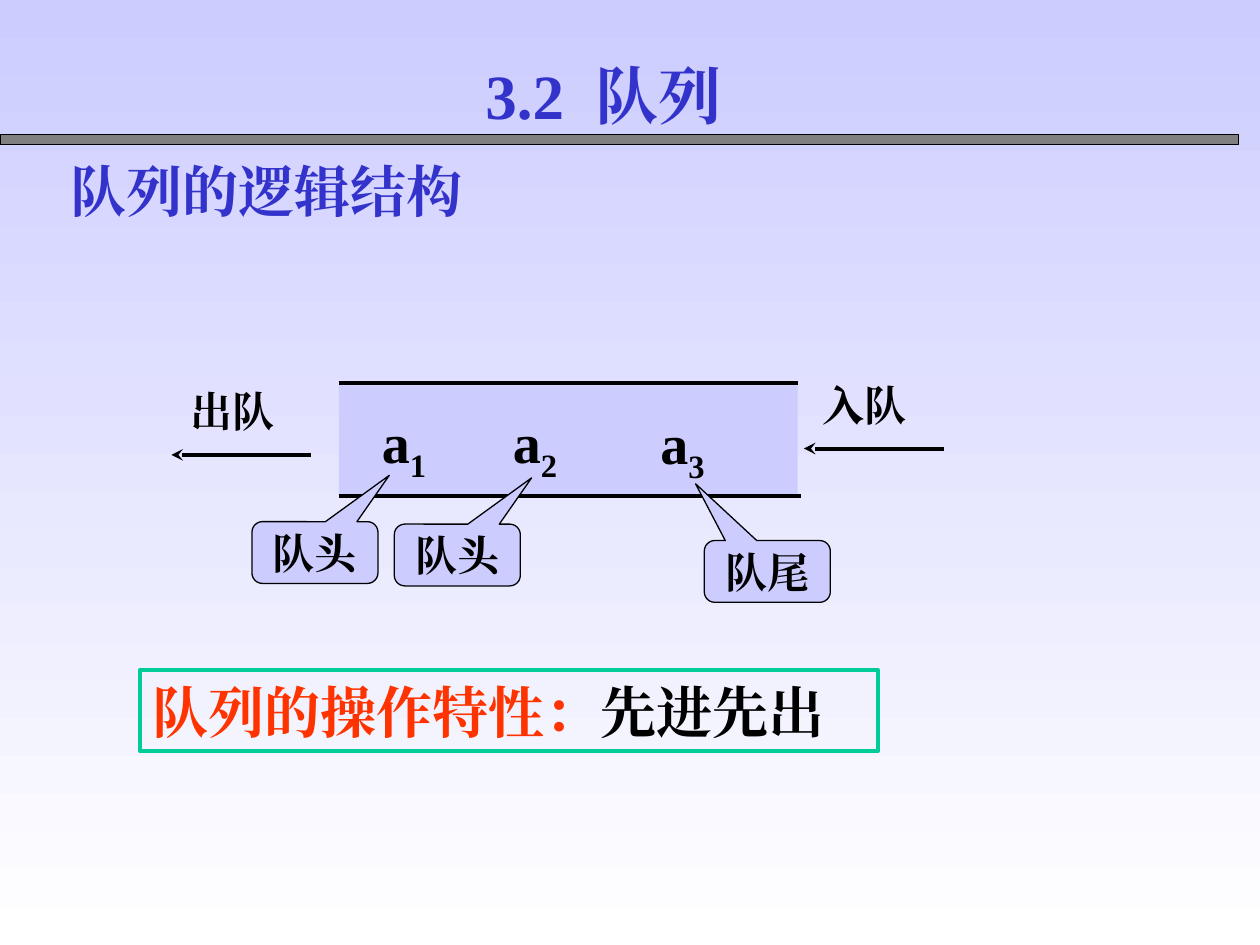
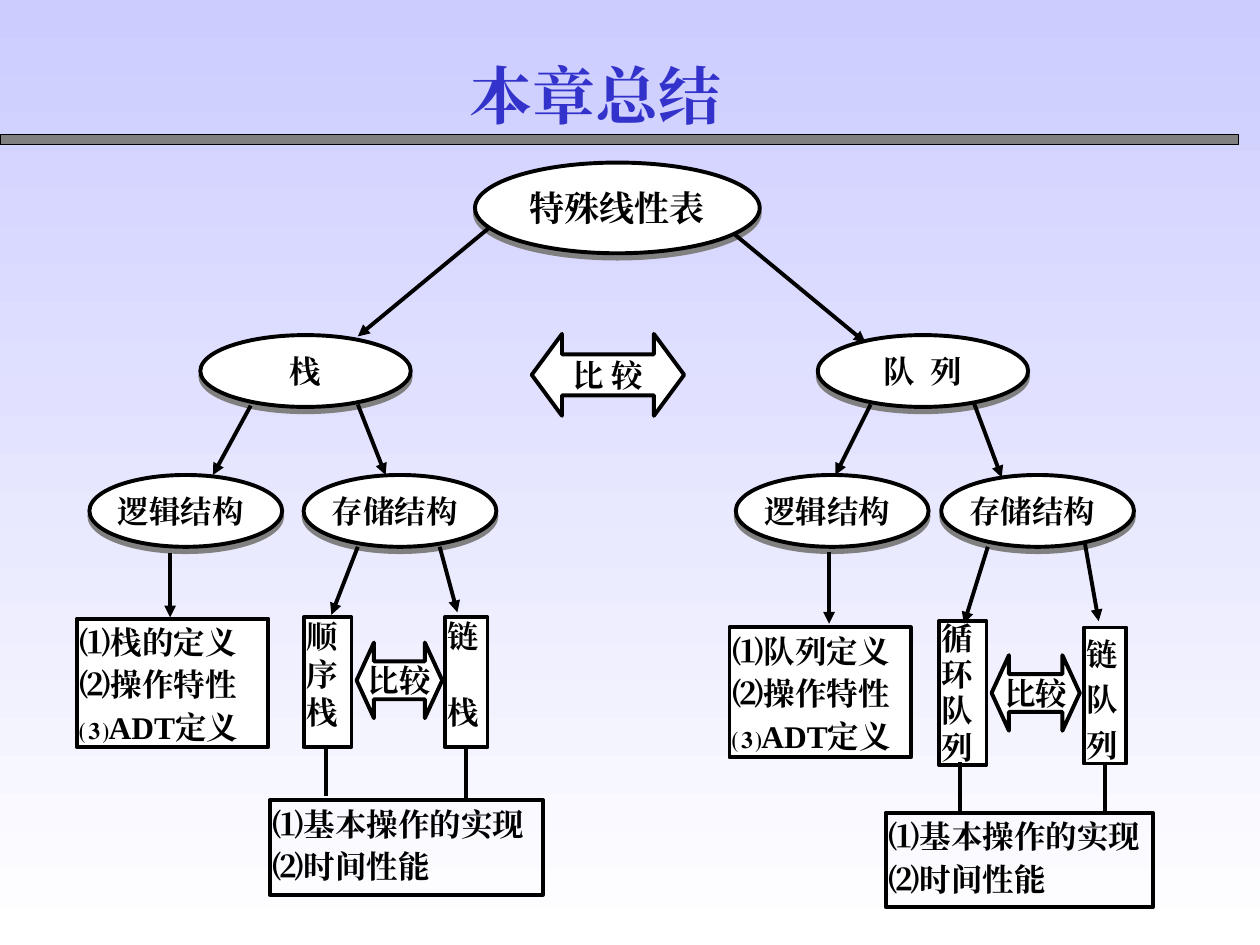
from lxml.etree import SubElement
from pptx import Presentation
from pptx.dml.color import RGBColor
from pptx.enum.shapes import MSO_CONNECTOR, MSO_SHAPE
from pptx.enum.text import MSO_ANCHOR, PP_ALIGN
from pptx.oxml import parse_xml
from pptx.oxml.ns import nsdecls, qn
from pptx.util import Emu, Inches, Pt

WIDTH, HEIGHT = Inches(10), Inches(7.5)
COLUMNS, ROWS = 100, 75
FONT = "Times New Roman"
BLACK, WHITE, GRAY = "000000", "FFFFFF", "808080"
LAVENDER, BLUE, RED, GREEN = "CCCCFF", "3333CC", "FF3300", "00CC99"
HEAVY, THIN = 2.25, 0.75
LEFT, CENTER = PP_ALIGN.LEFT, PP_ALIGN.CENTER


def color(hex_string):
    return RGBColor.from_string(hex_string)


def grid(*cells):
    units = (WIDTH / COLUMNS, HEIGHT / ROWS)
    return [Emu(round(cell * units[i % 2])) for i, cell in enumerate(cells)]


def apply(target, values):
    for name, value in values.items():
        setattr(target, name, value)


def drop_shadow(distance, angle):
    return parse_xml(
        f'<a:outerShdw {nsdecls("a")} dist="{Pt(distance)}" dir="{angle * 60000}" algn="ctr" '
        f'rotWithShape="0"><a:srgbClr val="{GRAY}"/></a:outerShdw>')


def add_run(paragraph, text, size, ink=BLACK, spacing=None, subscript=False, shadow=False):
    run = paragraph.add_run()
    run.text = text
    apply(run.font, {"size": Pt(size), "bold": True, "name": FONT})
    run.font.color.rgb = color(ink)
    properties = run.font._element
    east_asian = SubElement(properties, qn("a:ea"))
    east_asian.set("typeface", FONT)
    if spacing:
        properties.set("spc", str(round(spacing * 100)))
    if subscript:
        properties.set("baseline", "-25000")
    if shadow:
        effects = parse_xml(f'<a:effectLst {nsdecls("a")}/>')
        effects.append(drop_shadow(2, 45))
        properties.find(qn("a:solidFill")).addnext(effects)


def write(shape, lines, size, align=CENTER, anchor=MSO_ANCHOR.MIDDLE, inset=0, wrap=True,
          leading=1.0, gap=0, **style):
    frame = shape.text_frame
    side = Inches(inset)
    apply(frame, {"word_wrap": wrap, "vertical_anchor": anchor, "margin_left": side,
                  "margin_right": side, "margin_top": 0, "margin_bottom": 0})
    for number, line in enumerate(lines):
        paragraph = frame.add_paragraph() if number else frame.paragraphs[0]
        apply(paragraph, {"alignment": align, "line_spacing": leading})
        if number and gap:
            paragraph.space_before = Pt(gap)
        for part in [line] if isinstance(line, str) else line:
            text, own = (part, {}) if isinstance(part, str) else part
            add_run(paragraph, text, size, **{**style, **own})


def text(slide, at, lines, size, **style):
    write(slide.shapes.add_textbox(*grid(*at)), lines, size, **style)


def block(slide, kind, at, fill=WHITE, outline=BLACK, weight=HEAVY, adjust=(), shadow=False):
    shape = slide.shapes.add_shape(kind, *grid(*at))
    shape.shadow.inherit = False
    for number, value in enumerate(adjust):
        shape.adjustments[number] = value
    if fill:
        shape.fill.solid()
        shape.fill.fore_color.rgb = color(fill)
    else:
        shape.fill.background()
    if outline:
        shape.line.color.rgb = color(outline)
        shape.line.width = Pt(weight)
    else:
        shape.line.fill.background()
    if shadow:
        shape._element.spPr.find(qn("a:effectLst")).append(drop_shadow(3, 90))
    return shape


def stroke(slide, route, head=None):
    connector = slide.shapes.add_connector(MSO_CONNECTOR.STRAIGHT, *grid(*route))
    connector.line.color.rgb = color(BLACK)
    connector.line.width = Pt(HEAVY)
    if head:
        SubElement(connector.line._get_or_add_ln(), qn("a:tailEnd")).set("type", head)
    SubElement(connector._element.spPr, qn("a:effectLst"))


def topic(slide, at, line, size=18, **style):
    write(block(slide, MSO_SHAPE.OVAL, at, shadow=True), [line], size, **style)


def comparison(slide, at, line, adjust):
    arrow = block(slide, MSO_SHAPE.LEFT_RIGHT_ARROW, at, adjust=adjust)
    write(arrow, [line], 18, wrap=False)


def box(slide, at, lines, fill=WHITE, leading=1.12, gap=0):
    write(block(slide, MSO_SHAPE.RECTANGLE, at, fill), lines, 18, align=LEFT,
          anchor=MSO_ANCHOR.TOP, inset=0.02, leading=leading, gap=gap)


def callout(slide, at, line, pointer):
    shape = block(slide, MSO_SHAPE.ROUNDED_RECTANGULAR_CALLOUT, (*at, 10, 4.9), LAVENDER,
                  weight=THIN, adjust=(*pointer, 0.17))
    write(shape, [line], 24)


def titled_slide(prs, title, center):
    slide = prs.slides.add_slide(prs.slide_layouts[6])
    block(slide, MSO_SHAPE.RECTANGLE, (0, 10.7, 98.3, 0.8), GRAY, weight=THIN)
    text(slide, (center - 20, 4, 40, 7), [title], 36, ink=BLUE, shadow=True)
    return slide


def set_background(prs):
    fill = prs.slide_master.background.fill
    fill.gradient()
    fill.gradient_angle = 270
    for stop, shade in zip(fill.gradient_stops, (LAVENDER, WHITE)):
        stop.color.rgb = color(shade)
    for stop, position in zip(fill.gradient_stops, (0, 1)):
        stop.position = position


def queue_slide(prs):
    slide = titled_slide(prs, ["3.2", (" ", {"spacing": 9}), "队列"], 47.9)
    text(slide, (4.6, 11.9, 55.8, 6.4), ["队列的逻辑结构"], 32, align=LEFT, inset=0.1, ink=BLUE)

    for route in ((26.9, 30.4, 63.3, 30.4), (26.9, 39.4, 63.6, 39.4)):
        stroke(slide, route)
    block(slide, MSO_SHAPE.RECTANGLE, (26.9, 30.6, 36.4, 8.6), LAVENDER, outline=None)
    for index, (left, top) in enumerate(((30.3, 31.8), (40.7, 31.8), (52.4, 31.9)), 1):
        text(slide, (left, top, 4.2, 7.1), [["a", (str(index), {"subscript": True})]], 32,
             align=LEFT, wrap=False)

    for name, left, top in (("入队", 64.3, 29.6), ("出队", 14.1, 30.1)):
        text(slide, (left, top, 10.8, 5), [name], 24, align=LEFT, inset=0.1)
        stroke(slide, (left + 10.6, top + 6, left - 0.5, top + 6), "stealth")

    front_pointer = (0.59, -1.25)
    callout(slide, (55.9, 42.9), "队尾", (-0.57, -1.42))
    callout(slide, (20, 41.4), "队头", front_pointer)
    callout(slide, (31.3, 41.6), "队头", front_pointer)

    feature = block(slide, MSO_SHAPE.RECTANGLE, (11.1, 53.2, 58.6, 6.4), None, GREEN)
    write(feature, [[("队列的操作特性：", {"ink": RED}), "先进先出"]], 32, align=LEFT, inset=0.1)


STACK = {
    "root": (15.9, "栈"),
    "structures": (7.1, 24.1),
    "definition": ((6.1, 49.1, 15.2, 10.2), "栈的定义"),
    "kinds": [((24.1, 49, 3.8, 10.3), ["顺序栈"], 1, 0),
              ((35.3, 49, 3.4, 10.3), ["链", "栈"], 1, 21.5)],
    "comparison": (28.3, 51, 6.8, 6),
    "analysis": (21.4, 63.5, 21.7, 7.5),
    "arrows": [(38.8, 18.1, 28.4, 26.7), (19.9, 32.2, 16.9, 37.7), (28.4, 32.1, 30.6, 37.7),
               (13.5, 43.9, 13.5, 49), (28.4, 43.4, 26.3, 48.8), (34.9, 43.4, 36.3, 48.6)],
    "joins": [(25.9, 59.1, 63.2), (37, 59.3, 63.4)],
}
QUEUE = {
    "root": (64.9, ["队", (" ", {"spacing": 4.5}), "列"]),
    "structures": (58.4, 74.7),
    "definition": ((57.9, 49.8, 14.4, 10.3), "队列定义"),
    "kinds": [((74.5, 49.3, 3.8, 11.4), ["循环队列"], 0.96, 0),
              ((86, 49.8, 3.4, 10.8), ["链队列"], 1.2, 0)],
    "comparison": (78.7, 52, 7, 6),
    "analysis": (70.3, 64.5, 21.2, 7.5),
    "arrows": [(58.3, 18.6, 68.7, 27.2), (69.1, 32.1, 66.3, 37.7), (77.3, 32, 79.5, 37.9),
               (65.8, 43.8, 65.8, 49.5), (78.4, 43.4, 76.5, 49.5), (86.1, 43.1, 87.2, 49.3)],
    "joins": [(76.2, 60.5, 64.5), (87.7, 60.5, 64.5)],
}


def branch(slide, content):
    left, name = content["root"]
    topic(slide, (left, 26.6, 16.7, 5.7), name)
    for left, name in zip(content["structures"], ("逻辑结构", "存储结构")):
        topic(slide, (left, 37.7, 15.3, 5.7), name, align=LEFT, wrap=False)
    at, definition = content["definition"]
    box(slide, at, ["⑴" + definition, "⑵操作特性", "⑶ADT定义"])
    for at, lines, leading, gap in content["kinds"]:
        box(slide, at, lines, leading=leading, gap=gap)
    for route in content["arrows"]:
        stroke(slide, route, "triangle")
    comparison(slide, content["comparison"], "比较", (0.5, 0.23))
    box(slide, content["analysis"], ["⑴基本操作的实现", "⑵时间性能"], fill=None)
    for column, top, bottom in content["joins"]:
        stroke(slide, (column, top, column, bottom))


def summary_slide(prs):
    slide = titled_slide(prs, "本章总结", 47.3)
    topic(slide, (37.7, 12.9, 22.6, 7.2), "特殊线性表", 20)
    for content in (STACK, QUEUE):
        branch(slide, content)
    comparison(slide, (42.2, 26.5, 12.1, 6.5), "比 较", (0.5, 0.37))


def main():
    prs = Presentation()
    apply(prs, {"slide_width": WIDTH, "slide_height": HEIGHT})
    set_background(prs)
    queue_slide(prs)
    summary_slide(prs)
    prs.save("out.pptx")


if __name__ == "__main__":
    main()
